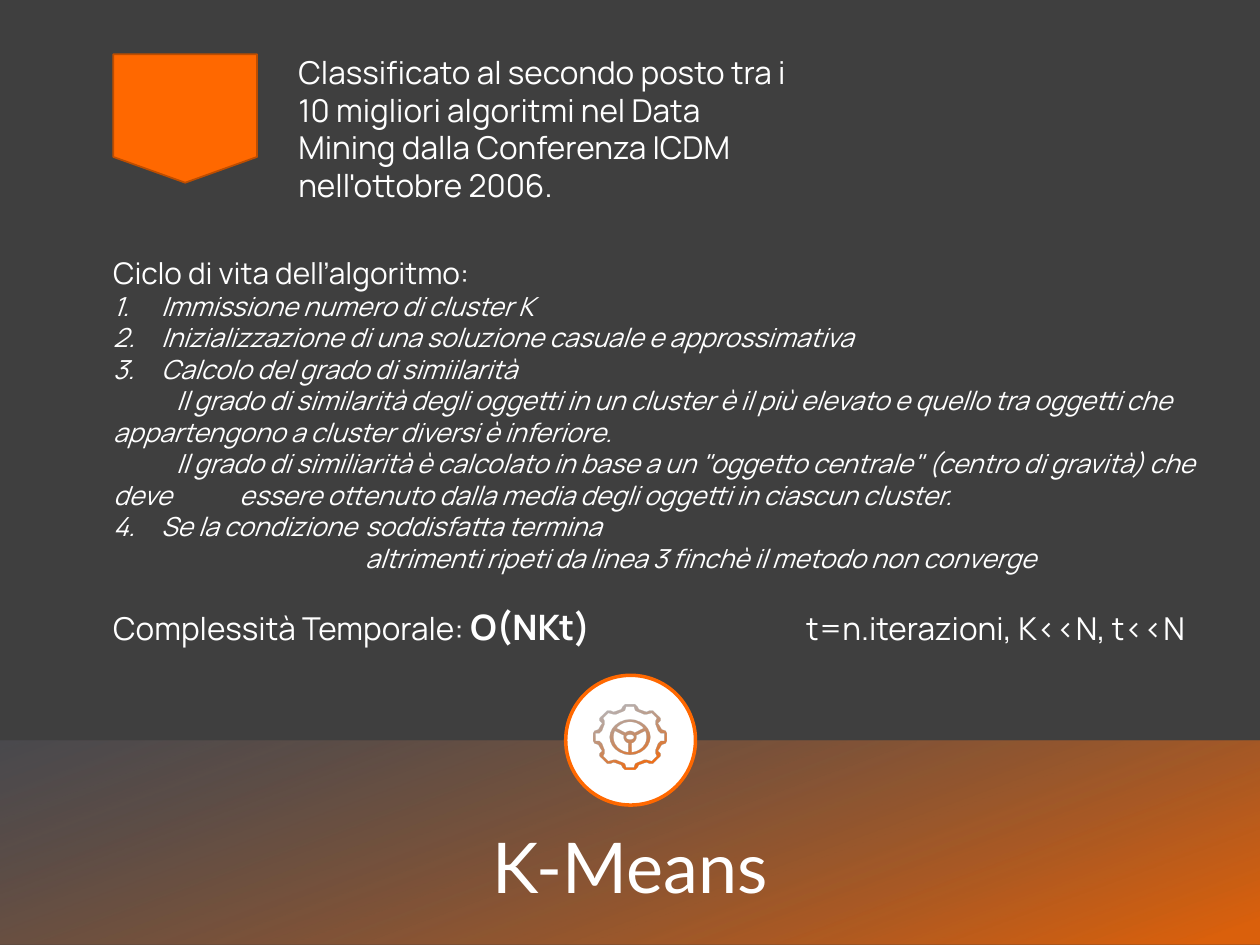
from math import cos, radians, sin

from lxml.etree import SubElement
from pptx import Presentation
from pptx.dml.color import RGBColor
from pptx.enum.shapes import MSO_SHAPE as Shape
from pptx.enum.text import MSO_ANCHOR as Anchor, PP_ALIGN as Align
from pptx.oxml.ns import qn
from pptx.util import Inches, Pt

ORANGE = RGBColor(0xFF, 0x68, 0x00)
RUST = RGBColor(0xBD, 0x4D, 0x00)
SLATE = RGBColor(0x59, 0x59, 0x63)
CHARCOAL = RGBColor(0x3F, 0x3F, 0x3F)
WHITE = RGBColor(0xFF, 0xFF, 0xFF)
BODY_FONT, TITLE_FONT = "Manrope", "Lato"

# Upper right quarter of the gear, in inches from its centre
TEETH = [(0.04, -0.26), (0.06, -0.24), (0.07, -0.22), (0.13, -0.2),
         (0.15, -0.21), (0.18, -0.21), (0.24, -0.15), (0.24, -0.13),
         (0.22, -0.11), (0.25, -0.06), (0.28, -0.05), (0.29, -0.03)]
INNER_TEETH = [(0.03, -0.24), (0.04, -0.21), (0.06, -0.2), (0.11, -0.18),
               (0.13, -0.18), (0.17, -0.19), (0.21, -0.15), (0.2, -0.13),
               (0.2, -0.1), (0.22, -0.05), (0.24, -0.03), (0.27, -0.03)]


def add_run(paragraph, text, size=15, font=BODY_FONT, bold=False, italic=False):
    run = paragraph.add_run()
    run.text = text
    run.font.size, run.font.name = Pt(size), font
    run.font.bold, run.font.italic = bold, italic
    run.font.color.rgb = WHITE


def add_text_frame(slide, left, top, width, height):
    frame = slide.shapes.add_textbox(left, top, width, height).text_frame
    frame.word_wrap = True
    return frame


def number_paragraph(paragraph, start):
    properties = paragraph._p.get_or_add_pPr()
    properties.set("marL", str(Inches(0.38)))
    properties.set("indent", str(-Inches(0.38)))
    SubElement(properties, qn("a:buFont"), typeface="+mj-lt")
    SubElement(properties, qn("a:buAutoNum"), type="arabicPeriod", startAt=str(start))


def fill_gradient(shape, orange_opacity, slate_opacity):
    shape.fill.gradient()
    shape.fill.gradient_angle = 110
    for stop, color, position, opacity in zip(
            shape.fill.gradient_stops, (ORANGE, SLATE), (0.04, 1),
            (orange_opacity, slate_opacity)):
        stop.color.rgb, stop.position = color, position
        rgb = stop._gs.find(qn("a:srgbClr"))
        SubElement(rgb, qn("a:alpha"), val=str(opacity * 1000))


def add_shape(slide, kind, left, top, width, height):
    shape = slide.shapes.add_shape(kind, left, top, width, height)
    shape.shadow.inherit = False
    shape.line.fill.background()
    return shape


def add_ranking(slide, left, top):
    # Orange tag and the ranking next to it
    tag = add_shape(slide, Shape.FLOWCHART_OFFPAGE_CONNECTOR, left, top,
                    Inches(1.14), Inches(1.02))
    tag.fill.solid()
    tag.fill.fore_color.rgb = ORANGE
    tag.line.color.rgb, tag.line.width = RUST, Pt(1)
    ranking = add_text_frame(slide, left + Inches(1.37), top - Inches(0.06),
                             Inches(4.11), Inches(1.31))
    add_run(ranking.paragraphs[0],
            "Classificato al secondo posto tra i 10 migliori algoritmi nel Data "
            "Mining dalla Conferenza ICDM nell'ottobre 2006.", size=18)


def add_life_cycle(slide, left, top, width, height):
    frame = add_text_frame(slide, left, top, width, height)
    add_run(frame.paragraphs[0], "Ciclo di vita dell’algoritmo:", size=17)

    # Steps: number (None for a remark) and text
    steps = [
        (1, "Immissione numero di cluster K"),
        (2, "Inizializzazione di una soluzione casuale e approssimativa"),
        (3, "Calcolo del grado di simiilarità"),
        (None, "\tIl grado di similarità degli oggetti in un cluster è il più elevato "
               "e quello tra oggetti che \tappartengono a cluster diversi è inferiore."),
        (None, "\tIl grado di similiarità è calcolato in base a un \"oggetto centrale\" "
               "(centro di gravità) che deve \tessere ottenuto dalla media degli "
               "oggetti in ciascun cluster."),
        (4, "Se la condizione \tsoddisfatta termina"),
        (None, "\t\t\t\taltrimenti ripeti da linea 3 finchè il metodo non converge"),
    ]
    for number, text in steps:
        step = frame.add_paragraph()
        if number:
            number_paragraph(step, number)
        add_run(step, text, italic=True)

    # Time complexity
    complexity = frame.add_paragraph()
    complexity.space_before = Pt(18)
    add_run(complexity, "Complessità Temporale: ", size=18)
    add_run(complexity, "O(NKt) \t\t\t\t", size=20, bold=True)
    add_run(complexity, "t=n.iterazioni, K<<N, t<<N", size=18)

    for paragraph in frame.paragraphs:
        paragraph._p.get_or_add_pPr().set("defTabSz", str(Inches(0.5)))


def add_title_band(slide, left, top, width, height):
    band = add_shape(slide, Shape.RECTANGLE, left, top, width, height)
    fill_gradient(band, 80, 40)

    title = slide.shapes.title
    title.left, title.top = left + Inches(0.69), top + Inches(0.49)
    title.width, title.height = width - Inches(1.38), Inches(1.09)
    title.text_frame.vertical_anchor = Anchor.MIDDLE
    heading = title.text_frame.paragraphs[0]
    heading.alignment, heading.line_spacing = Align.CENTER, 0.9
    add_run(heading, "K-Means", size=40, font=TITLE_FONT)
    band._element.addnext(title._element)  # title in front of the band


def mirror_quarter(quarter):
    right = quarter + [(x, -y) for x, y in reversed(quarter)]
    return right + [(-x, y) for x, y in reversed(right)]


def arc(radius_x, radius_y, start, end, steps=24):
    angles = [radians(start + (end - start) * i / steps) for i in range(steps + 1)]
    return [(radius_x * cos(a), radius_y * sin(a)) for a in angles]


def add_gear(slide, center_x, center_y):
    # Toothed rim, steering wheel with three openings, and hub hole
    contours = [mirror_quarter(TEETH), mirror_quarter(INNER_TEETH),
                arc(0.16, 0.14, 0, 360), arc(0.03, 0.02, 0, 360)]
    for spoke in (-30, 90, 210):
        contours.append(arc(0.13, 0.12, spoke + 6, spoke + 114)
                        + arc(0.05, 0.05, spoke + 105, spoke + 15))

    def place(point):
        return center_x + Inches(point[0]), center_y + Inches(point[1])

    builder = slide.shapes.build_freeform(*place(contours[0][0]), scale=1.0)
    for contour in contours:
        first, *rest = map(place, contour)
        if contour is not contours[0]:
            builder.move_to(*first)
        builder.add_line_segments(rest, close=True)
    gear = builder.convert_to_shape()
    gear.shadow.inherit = False
    gear.line.fill.background()
    fill_gradient(gear, 100, 40)


def add_badge(slide, left, top, size):
    disc = add_shape(slide, Shape.OVAL, left, top, size, size)
    disc.fill.solid()
    disc.fill.fore_color.rgb = WHITE
    disc.line.color.rgb, disc.line.width = ORANGE, Pt(2)
    add_gear(slide, left + Inches(0.51), top + Inches(0.49))


def main():
    deck = Presentation()
    deck.slide_width, deck.slide_height = Inches(10), Inches(7.5)
    slide = deck.slides.add_slide(deck.slide_layouts[5])
    slide.background.fill.solid()
    slide.background.fill.fore_color.rgb = CHARCOAL

    add_title_band(slide, 0, Inches(5.88), deck.slide_width, Inches(1.62))
    add_badge(slide, Inches(4.49), Inches(5.36), Inches(1.03))
    add_life_cycle(slide, Inches(0.8), Inches(1.97), Inches(8.85), Inches(5.25))
    add_ranking(slide, Inches(0.9), Inches(0.43))
    deck.save("out.pptx")


if __name__ == "__main__":
    main()
